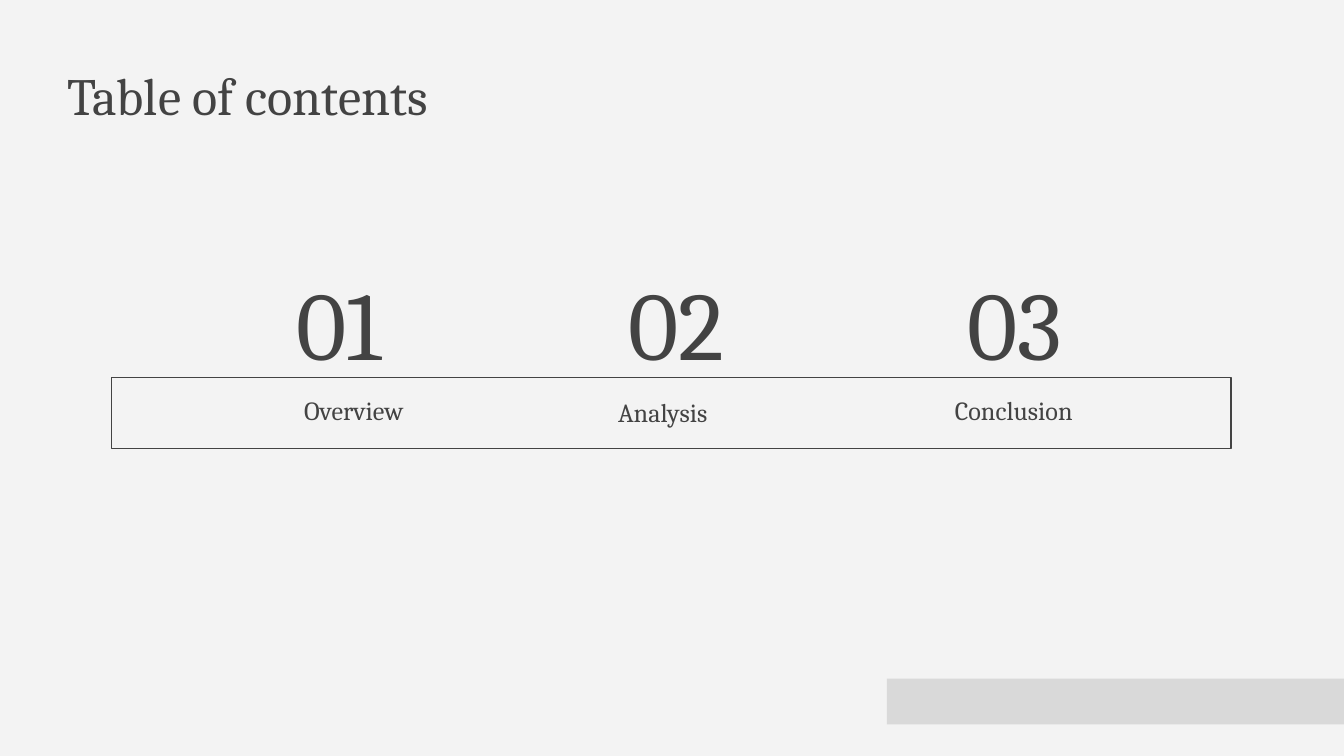
from dataclasses import dataclass

from pptx import Presentation
from pptx.dml.color import RGBColor
from pptx.enum.shapes import MSO_SHAPE
from pptx.enum.text import MSO_ANCHOR, PP_ALIGN
from pptx.util import Inches, Pt

RECTANGLE = MSO_SHAPE.RECTANGLE
TOP, MIDDLE, BOTTOM = MSO_ANCHOR.TOP, MSO_ANCHOR.MIDDLE, MSO_ANCHOR.BOTTOM
LEFT, RIGHT = PP_ALIGN.LEFT, PP_ALIGN.RIGHT

INK = RGBColor(0x43, 0x43, 0x43)
PAPER = RGBColor(0xF3, 0xF3, 0xF3)
ACCENT = RGBColor(0xD9, 0xD9, 0xD9)
FONT = "Cambria"
INSET = Inches(0.1)
NUMBER_TOP = 2.08
ROW_HEIGHT = 0.63


@dataclass
class Section:
    name: str
    number_left: float
    number_width: float
    label_left: float
    label_top: float
    label_width: float
    label_align: PP_ALIGN = RIGHT


SECTIONS = [
    Section("Overview", 1.02, 1.92, 1.38, 2.64, 1.72),
    Section("Analysis", 4.47, 1.02, 4.5, 2.65, 1.02, LEFT),
    Section("Conclusion", 6.08, 1.92, 6.89, 2.64, 1.19),
]


def place(shape, left: float, top: float, width: float, height: float) -> None:
    shape.left, shape.top = Inches(left), Inches(top)
    shape.width, shape.height = Inches(width), Inches(height)


def write(box, text: str, *, size: int, align: PP_ALIGN = LEFT,
          anchor: MSO_ANCHOR = TOP) -> None:
    frame = box.text_frame
    frame.word_wrap = True
    frame.vertical_anchor = anchor
    frame.margin_left = frame.margin_right = INSET
    frame.margin_top = frame.margin_bottom = INSET
    para = frame.paragraphs[0]
    para.alignment = align
    span = para.add_run()
    span.text = text
    span.font.name = FONT
    span.font.size = Pt(size)
    span.font.color.rgb = INK


def add_text(page, text: str, left: float, top: float, width: float,
             **style) -> None:
    box = page.shapes.add_textbox(Inches(left), Inches(top),
                                  Inches(width), Inches(ROW_HEIGHT))
    write(box, text, **style)


def add_rectangle(page, left: float, top: float, width: float, height: float):
    shape = page.shapes.add_shape(RECTANGLE, Inches(left), Inches(top),
                                  Inches(width), Inches(height))
    shape.shadow.inherit = False
    return shape


def add_section(page, number: int, section: Section) -> None:
    add_text(page, section.name, section.label_left, section.label_top,
             section.label_width, size=14, align=section.label_align,
             anchor=BOTTOM)
    add_text(page, f"{number:02}", section.number_left, NUMBER_TOP,
             section.number_width, size=52, align=RIGHT, anchor=MIDDLE)


def main() -> None:
    # Widescreen page, 16:9
    deck = Presentation()
    deck.slide_width = Inches(10)
    deck.slide_height = deck.slide_width * 9 // 16
    page = deck.slides.add_slide(deck.slide_layouts[5])
    page.background.fill.solid()
    page.background.fill.fore_color.rgb = PAPER

    # Title
    title = page.shapes.title
    place(title, 0.4, 0.37, 3.51, 1.03)
    write(title, "Table of contents", size=28)

    # Outlined band behind the section names
    band = add_rectangle(page, 0.83, 2.81, 8.33, 0.53)
    band.fill.background()
    band.line.color.rgb = INK
    band.line.width = Pt(0.75)

    # Numbered sections
    for number, section in enumerate(SECTIONS, start=1):
        add_section(page, number, section)

    # Corner accent
    accent = add_rectangle(page, 6.6, 5.05, 3.4, 0.34)
    accent.fill.solid()
    accent.fill.fore_color.rgb = ACCENT
    accent.line.fill.background()

    deck.save("out.pptx")


if __name__ == "__main__":
    main()
